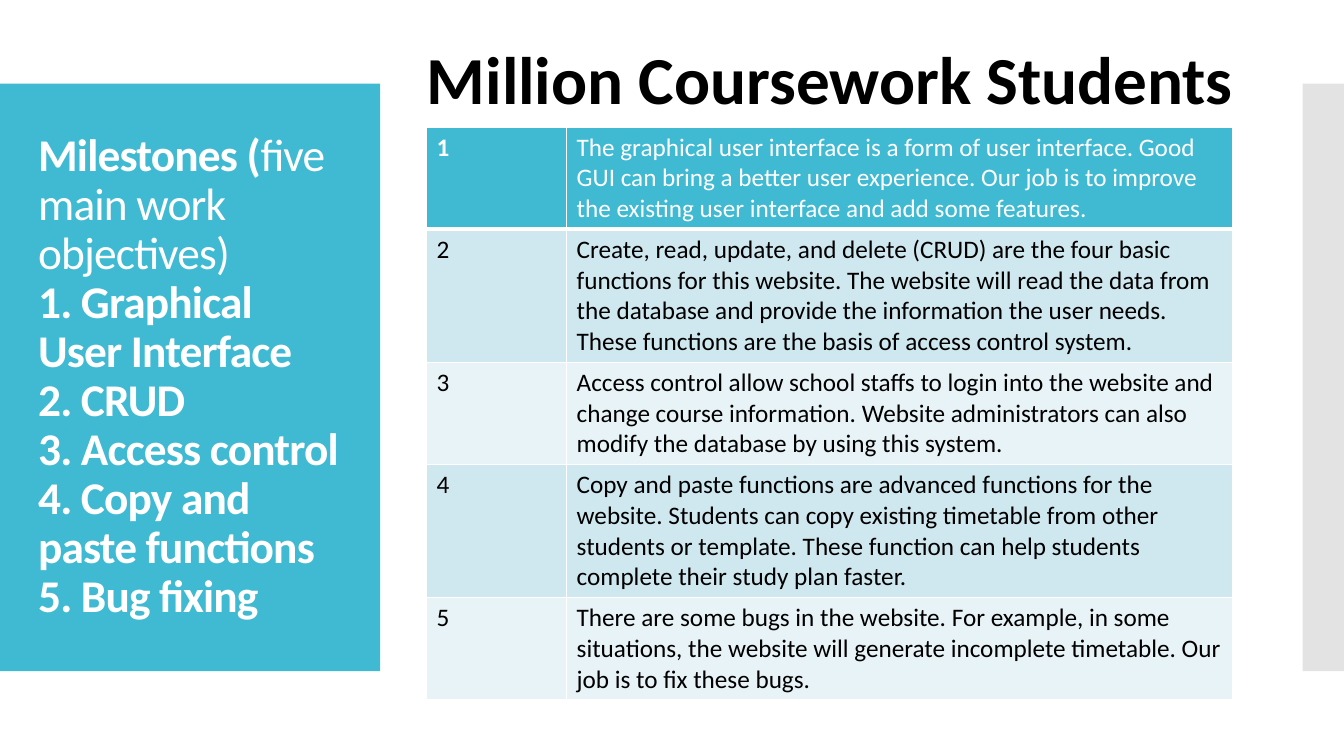
import pptx
import pptx.dml.color
import pptx.enum.shapes
import pptx.enum.text
import pptx.oxml
import pptx.oxml.ns
import pptx.util
from pptx.util import Inches

HEADING = "Million Coursework Students"
MILESTONES = [
    [("Milestones (", True), ("five main work objectives)", False)],
    [("1. Graphical User Interface", True)],
    [("2. CRUD", True)],
    [("3. Access control", True)],
    [("4. Copy and paste functions", True)],
    [("5. Bug fixing", True)],
]
OBJECTIVES = [
    ("The graphical user interface is a form of user interface. Good GUI can bring a better "
     "user experience. Our job is to improve the existing user interface and add some features.", 3),
    ("Create, read, update, and delete (CRUD) are the four basic functions for this website. "
     "The website will read the data from the database and provide the information the user needs. "
     "These functions are the basis of access control system.", 4),
    ("Access control allow school staffs to login into the website and change course information. "
     "Website administrators can also modify the database by using this system.", 3),
    ("Copy and paste functions are advanced functions for the website. Students can copy existing "
     "timetable from other students or template. These function can help students complete their "
     "study plan faster.", 4),
    ("There are some bugs in the website. For example, in some situations, the website will "
     "generate incomplete timetable. Our job is to fix these bugs.", 3),
]
COLORS = {"accent": "40BAD2", "side": "C8C8C8", "dark_band": "CFE7EE",
          "light_band": "E8F3F7", "white": "FFFFFF", "black": "000000"}
COLUMN_WIDTHS = (1.39, 6.61)
LINE_HEIGHT = 0.305
CELL_PADDING = 0.1


def rgb(name):
    return pptx.dml.color.RGBColor.from_string(COLORS[name])


def line_xml(tag, points, color):
    return pptx.oxml.parse_xml(
        f'<a:{tag} {pptx.oxml.ns.nsdecls("a")} w="{int(points * 12700)}"><a:solidFill>'
        f'<a:srgbClr val="{COLORS[color]}"/></a:solidFill></a:{tag}>')


def add_text(paragraph, text, size=18, color="black", bold=False, spacing=None, outline=None):
    run = paragraph.add_run()
    run.text = text
    run.font.name = "Calibri"
    run.font.size = pptx.util.Pt(size)
    run.font.bold = bold
    run.font.color.rgb = rgb(color)
    properties = run.font._element
    if spacing is not None:
        properties.set("spc", str(int(spacing * 100)))
    if outline:
        properties.insert(0, line_xml("ln", 0.75, outline))


def add_panel(slide, left, width, color, opacity=100):
    panel = slide.shapes.add_shape(pptx.enum.shapes.MSO_SHAPE.RECTANGLE, Inches(left),
                                   Inches(0.83), Inches(width), Inches(5.83))
    panel.shadow.inherit = False
    panel.fill.solid()
    panel.fill.fore_color.rgb = rgb(color)
    panel.line.fill.background()
    if opacity < 100:
        fill_color = panel._element.spPr.find(".//" + pptx.oxml.ns.qn("a:srgbClr"))
        fill_color.append(pptx.oxml.parse_xml(
            f'<a:alpha {pptx.oxml.ns.nsdecls("a")} val="{opacity * 1000}"/>'))


def add_box(slide, left, top, width, height):
    frame = slide.shapes.add_textbox(*map(Inches, (left, top, width, height))).text_frame
    frame.word_wrap = True
    return frame


def add_milestones(slide):
    frame = add_box(slide, 0.28, 1.23, 3.22, 5.03)
    frame.vertical_anchor = pptx.enum.text.MSO_ANCHOR.MIDDLE
    paragraph = frame.paragraphs[0]
    paragraph.line_spacing = 0.9
    for number, milestone in enumerate(MILESTONES):
        if number:
            paragraph.add_line_break()
        for text, bold in milestone:
            add_text(paragraph, text, size=32.4, color="white", bold=bold, spacing=-0.6)


def add_objectives(slide):
    heights = [CELL_PADDING + lines * LINE_HEIGHT for _, lines in OBJECTIVES]
    table = slide.shapes.add_table(len(OBJECTIVES), 2, Inches(4.23), Inches(1.26),
                                   Inches(sum(COLUMN_WIDTHS)), Inches(sum(heights))).table
    for column, width in zip(table.columns, COLUMN_WIDTHS):
        column.width = Inches(width)
    for row, (description, _) in enumerate(OBJECTIVES):
        table.rows[row].height = Inches(heights[row])
        header = row == 0
        band = "accent" if header else ("light_band", "dark_band")[row % 2]
        for column, text in enumerate((str(row + 1), description)):
            cell = table.cell(row, column)
            add_text(cell.text_frame.paragraphs[0], text,
                     color="white" if header else "black", bold=header and column == 0)
            cell.fill.solid()
            cell.fill.fore_color.rgb = rgb(band)
            borders = {"lnL": 1, "lnR": 1, "lnT": 3 if row == 1 else 1, "lnB": 3 if header else 1}
            for position, (edge, points) in enumerate(borders.items()):
                cell._tc.get_or_add_tcPr().insert(position, line_xml(edge, points, "white"))


def add_heading(slide):
    paragraph = add_box(slide, 3.46, 0.32, 9.55, 0.91).paragraphs[0]
    paragraph.alignment = pptx.enum.text.PP_ALIGN.CENTER
    add_text(paragraph, HEADING, size=48, bold=True, outline="white")


def main():
    deck = pptx.Presentation()
    deck.slide_width, deck.slide_height = Inches(13.33), Inches(7.5)
    slide = deck.slides.add_slide(deck.slide_layouts[6])
    add_panel(slide, 0, 3.77, "accent")
    add_panel(slide, 12.92, 0.41, "side", opacity=50)
    add_milestones(slide)
    add_objectives(slide)
    add_heading(slide)
    deck.save("out.pptx")


if __name__ == "__main__":
    main()
